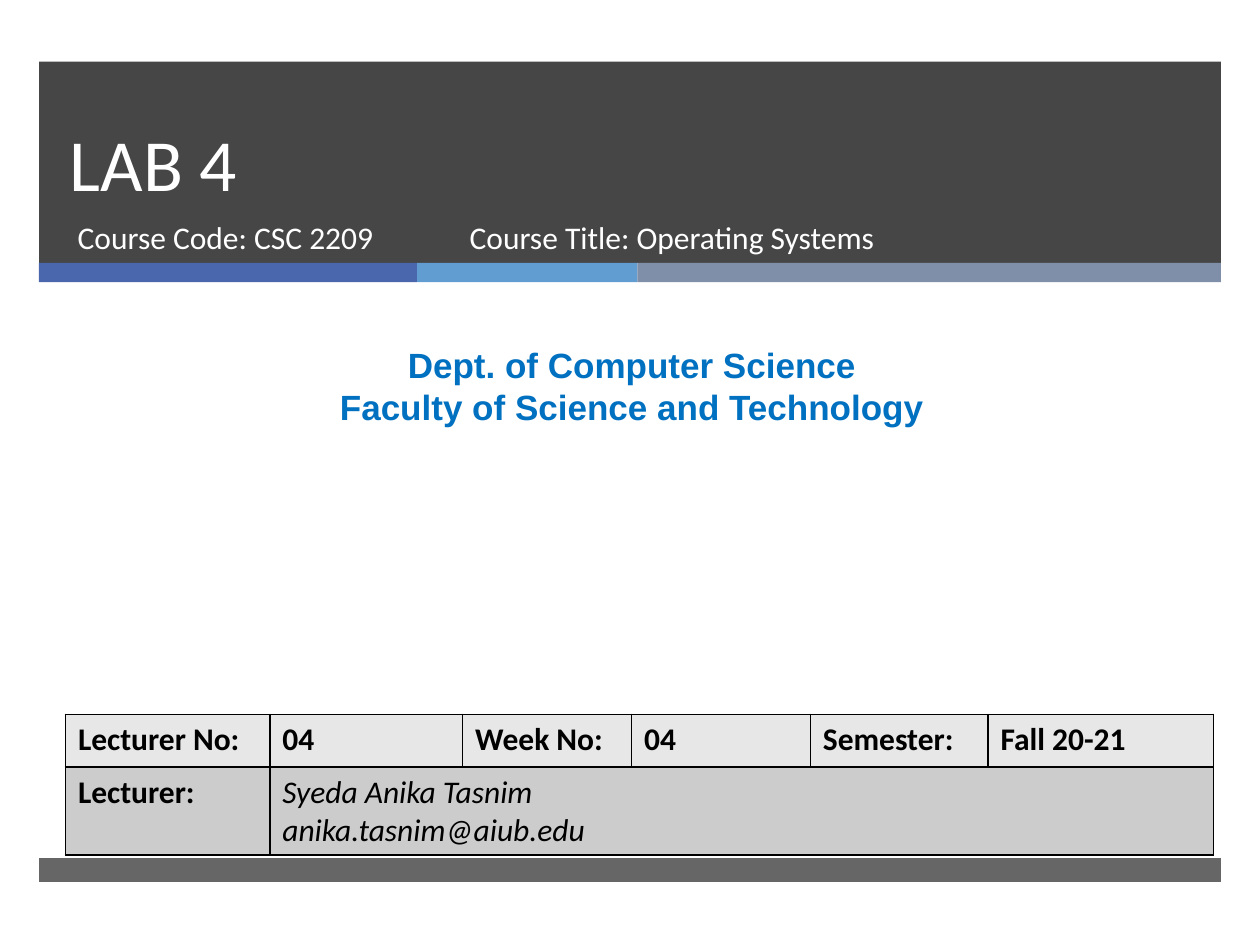
from dataclasses import dataclass

from lxml import etree
from pptx import Presentation
from pptx.dml.color import RGBColor
from pptx.enum import shapes, text
from pptx.oxml import ns
from pptx.util import Pt


@dataclass(frozen=True)
class Theme:
    dark: str = "262626"
    accents: tuple = ("4A66AC", "629DD1", "7F8FA9")
    white: str = "FFFFFF"
    black: str = "000000"
    blue: str = "0070C0"
    row_fills: tuple = ("E7E7E7", "CCCCCC")
    body_font: str = "Calibri"
    dept_font: str = "Arial"
    title_size: float = 42
    dept_size: float = 20
    body_size: float = 18


THEME = Theme()


def rgb(value):
    return RGBColor.from_string(value)


def add_bar(s, box, color, opacity=100):
    bar = s.shapes.add_shape(shapes.MSO_SHAPE.RECTANGLE, *map(Pt, box))
    bar.shadow.inherit = False
    bar.line.fill.background()
    bar.fill.solid()
    bar.fill.fore_color.rgb = rgb(color)
    if opacity < 100:
        clr = bar.fill._xPr.find(".//" + ns.qn("a:srgbClr"))
        etree.SubElement(clr, ns.qn("a:alpha"), val=str(opacity * 1000))


def style(tf, size, color, font=THEME.body_font, bold=False, italic=False):
    for p in tf.paragraphs:
        for r in p.runs:
            r.font.name, r.font.size = font, Pt(size)
            r.font.bold, r.font.italic = bold, italic
            r.font.color.rgb = rgb(color)


def add_text(s, box, content, size, color, **font):
    tf = s.shapes.add_textbox(*map(Pt, box)).text_frame
    tf.word_wrap = True
    tf.text = content
    style(tf, size, color, **font)
    return tf


def add_header(s, box):
    """Dark title panel with a three-colour stripe along its foot."""
    x, y, w, h = box
    stripe_h = 11
    panel_h = h - stripe_h
    add_bar(s, (x, y, w, panel_h), THEME.dark, 85)

    widths = (216, 126, w - 342)
    left = x
    for width, color in zip(widths, THEME.accents):
        add_bar(s, (left, y + panel_h, width, stripe_h), color)
        left += width

    tf = add_text(s, (x + 10.5, y, 615, 86), "LAB 4", THEME.title_size, THEME.white)
    tf.vertical_anchor = text.MSO_ANCHOR.BOTTOM
    tf.paragraphs[0].line_spacing = Pt(46)

    for dx, width, label in ((15, 220, "Course Code: CSC 2209"),
                             (239, 328, "Course Title: Operating Systems")):
        add_text(s, (x + dx, y + 86, width, 38), label, THEME.body_size, THEME.white)


def add_department(s, box):
    tf = add_text(s, box, "Dept. of Computer Science\nFaculty of Science and Technology",
                  THEME.dept_size, THEME.blue, font=THEME.dept_font, bold=True)
    for p in tf.paragraphs:
        p.alignment = text.PP_ALIGN.CENTER
        p.line_spacing = Pt(24)


def add_borders(cell):
    """Put a thin black line on each side, ahead of the cell's fill."""
    tc_pr = cell._tc.get_or_add_tcPr()
    for i, side in enumerate(("lnL", "lnR", "lnT", "lnB")):
        ln = etree.Element(ns.qn("a:" + side), w=str(Pt(1)))
        fill = etree.SubElement(ln, ns.qn("a:solidFill"))
        etree.SubElement(fill, ns.qn("a:srgbClr"), val=THEME.black)
        tc_pr.insert(i, ln)


def add_class_table(s, box):
    rows = (("Lecturer No:", "04", "Week No:", "04", "Semester:", "Fall 20-21"),
            ("Lecturer:", "Syeda Anika Tasnim\nanika.tasnim@aiub.edu"))
    widths = (116.8, 110.2, 96.5, 102.2, 101.5, 129)
    heights = (30, box[3] - 30)
    table = s.shapes.add_table(len(rows), len(widths), *map(Pt, box)).table
    for col, width in zip(table.columns, widths):
        col.width = Pt(width)
    for row, height, fill, labels in zip(table.rows, heights, THEME.row_fills, rows):
        row.height = Pt(height)
        for cell in row.cells:
            cell.fill.solid()
            cell.fill.fore_color.rgb = rgb(fill)
            add_borders(cell)
        for cell, label in zip(row.cells, labels):
            cell.text = label
            style(cell.text_frame, THEME.body_size, THEME.black, bold=True)
    lecturer = table.cell(1, 1)
    lecturer.merge(table.cell(1, len(widths) - 1))
    style(lecturer.text_frame, THEME.body_size, THEME.black, italic=True)


def main():
    prs = Presentation()
    prs.slide_width, prs.slide_height = Pt(720), Pt(540)
    s = prs.slides.add_slide(prs.slide_layouts[6])
    margin, width = 22.3, 675.4
    add_header(s, (margin, 35.2, width, 126))
    add_bar(s, (margin, 490.3, width, 13.7), THEME.dark, 70)
    add_department(s, (5.8, 193, 710.6, 55.4))
    add_class_table(s, (37.4, 408.2, 656.2, 80))
    prs.save("out.pptx")


if __name__ == "__main__":
    main()
